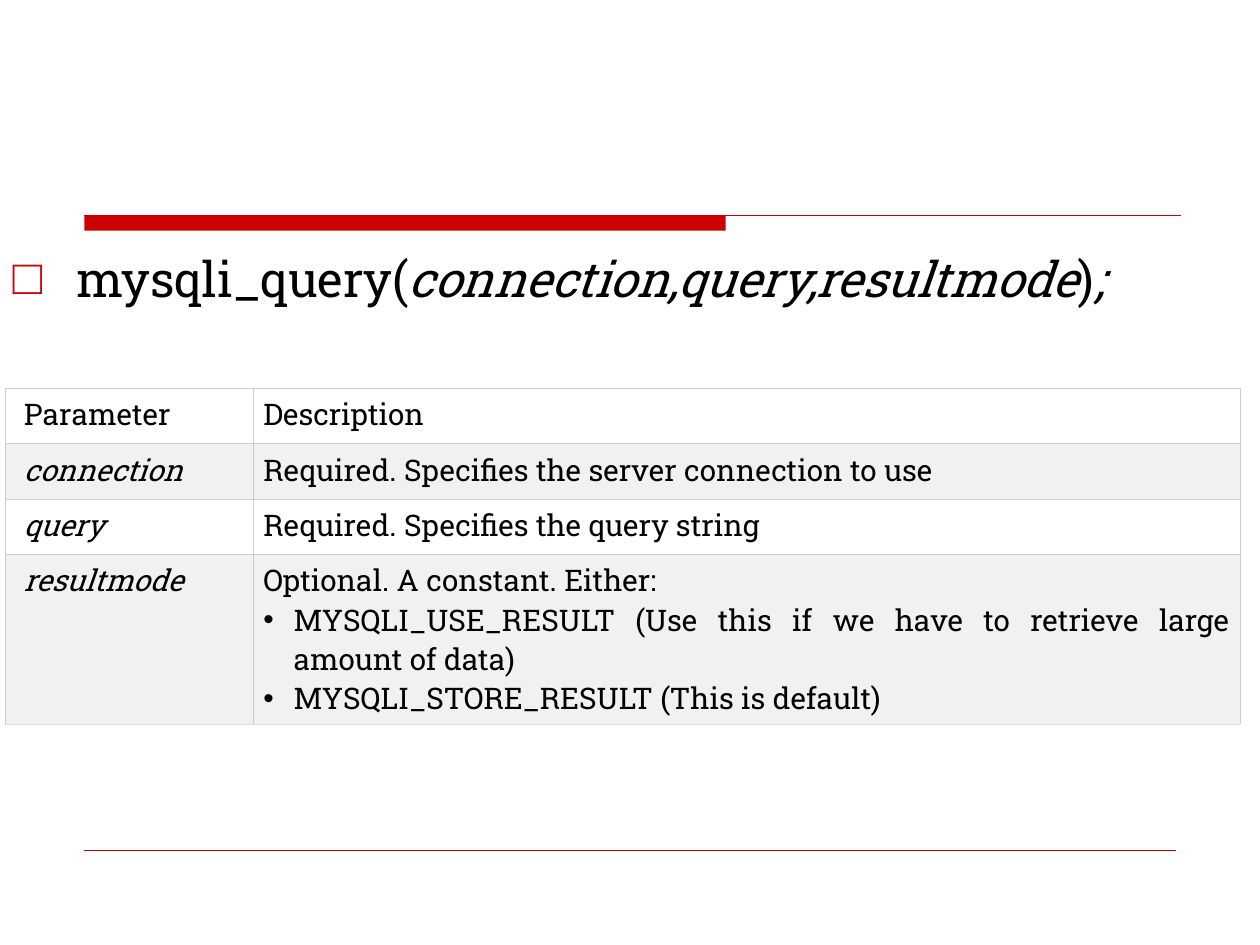
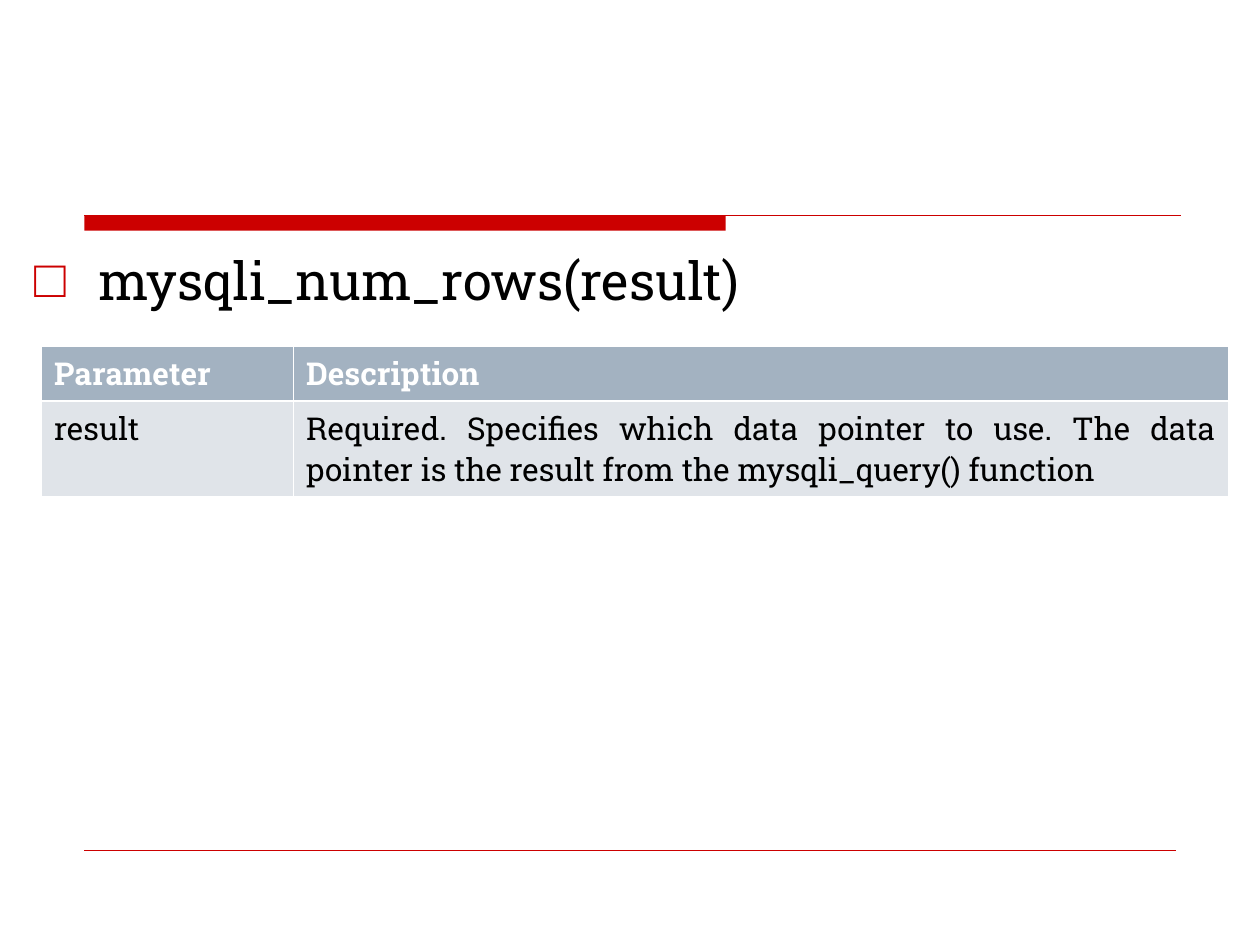
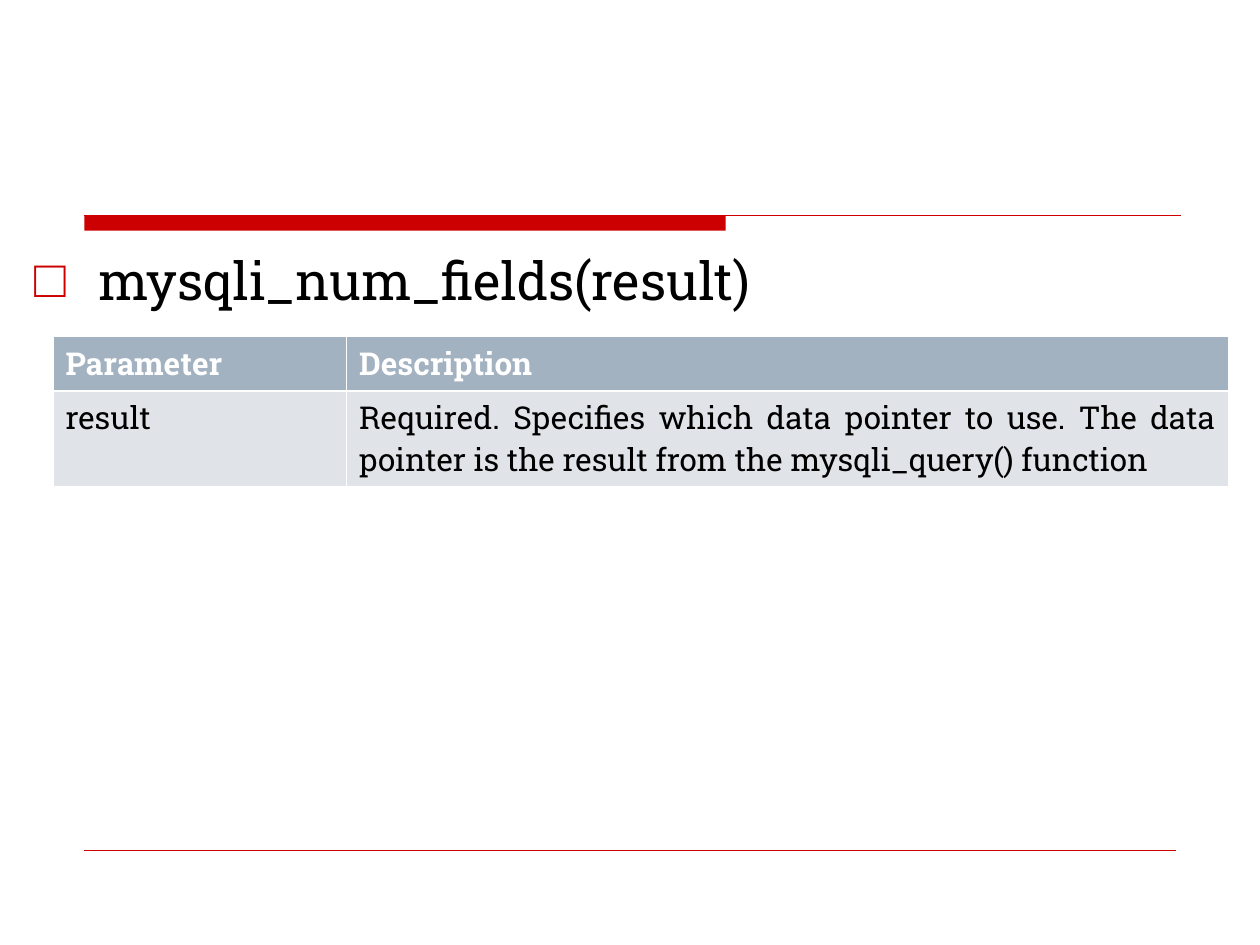
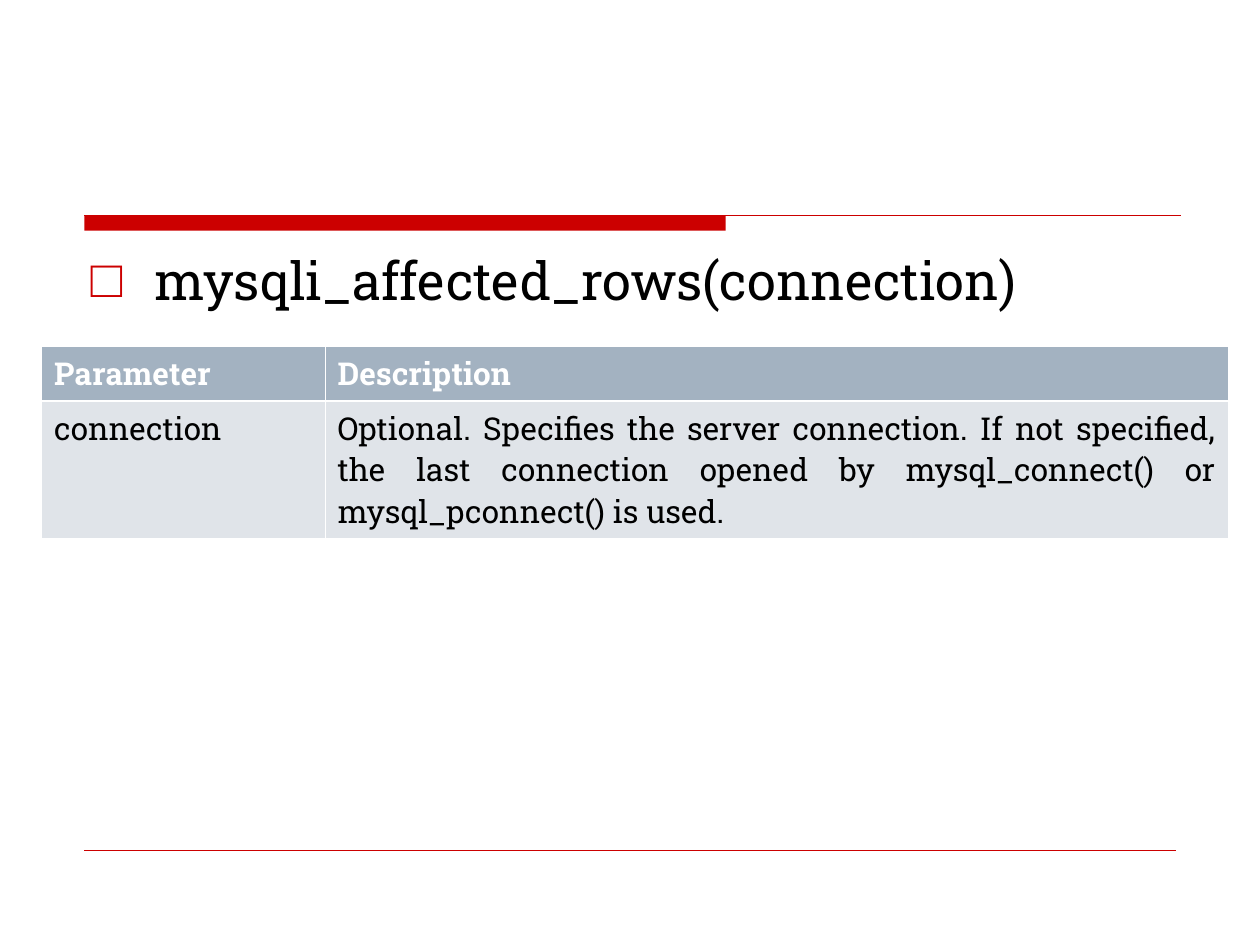
"""Build four reference slides on mysqli functions and their parameters."""
import pptx
import pptx.dml.color
import pptx.enum.shapes
import pptx.enum.text
import pptx.oxml.ns
import pptx.util
from lxml import etree
from pptx.util import Inches

RED = pptx.dml.color.RGBColor(0xCC, 0x00, 0x00)
BLACK = pptx.dml.color.RGBColor(0x00, 0x00, 0x00)
WHITE = pptx.dml.color.RGBColor(0xFF, 0xFF, 0xFF)
PALE_GREY = pptx.dml.color.RGBColor(0xF1, 0xF1, 0xF1)
GRID_GREY = pptx.dml.color.RGBColor(0xCC, 0xCC, 0xCC)
EDGE_GREY = pptx.dml.color.RGBColor(0xDD, 0xDD, 0xDD)
HEADER_BLUE = pptx.dml.color.RGBColor(0xA3, 0xB2, 0xC1)
ROW_BLUE = pptx.dml.color.RGBColor(0xE0, 0xE4, 0xE9)

FONT = "Roboto Slab"
HEADINGS = ("Parameter", "Description")
RESULT_TEXT = ("Required. Specifies which data pointer to use. The data pointer "
               "is the result from the mysqli_query() function")


def add_xml(parent, tag, **attributes):
    return etree.SubElement(parent, pptx.oxml.ns.qn(tag), attributes)


class ReferenceDeck:
    """Hold the shared style and the current slide."""

    def __init__(self):
        self.deck = pptx.Presentation()
        self.deck.slide_width = Inches(10)
        self.deck.slide_height = Inches(7.5)
        self.layout = self.deck.slide_layouts[1]
        for placeholder in list(self.layout.placeholders):
            if placeholder.placeholder_format.idx >= 10:
                placeholder.element.getparent().remove(placeholder.element)
        self.slide = None

    def add_slide(self):
        self.slide = self.deck.slides.add_slide(self.layout)
        title = self.slide.shapes.title.element
        title.getparent().remove(title)

    def add_frame(self):
        """Draw the band and rules, then move them to the shared layout."""
        band = self.slide.shapes.add_shape(
            pptx.enum.shapes.MSO_SHAPE.RECTANGLE,
            Inches(0.67), Inches(1.71), Inches(5.09), Inches(0.12))
        band.shadow.inherit = False
        band.fill.solid()
        band.fill.fore_color.rgb = RED
        band.line.fill.background()
        top_rule = self.add_rule(9.37, 1.71, 0.75)
        footer_rule = self.add_rule(9.33, 6.75, 0.25)
        for shape in (band, top_rule, footer_rule):
            self.layout.shapes.element.append(shape.element)

    def add_rule(self, right, top, width):
        rule = self.slide.shapes.add_connector(
            pptx.enum.shapes.MSO_CONNECTOR.STRAIGHT,
            Inches(0.67), Inches(top), Inches(right), Inches(top))
        rule.line.color.rgb = RED
        rule.line.width = pptx.util.Pt(width)
        add_xml(rule.element.spPr, "a:effectLst")
        return rule

    def format_runs(self, para, size, color=BLACK, bold=False):
        for run in para.runs:
            run.font.name = FONT
            run.font.size = pptx.util.Pt(size)
            run.font.color.rgb = color
            run.font.bold = bold

    def add_bullet(self, para, symbol, color, indent):
        properties = para._p.get_or_add_pPr()
        properties.set("marL", str(Inches(indent)))
        properties.set("indent", str(-Inches(indent)))
        bullet_color = add_xml(properties, "a:buClr")
        add_xml(bullet_color, "a:srgbClr", val=str(color))
        add_xml(properties, "a:buFont", typeface="Arial")
        add_xml(properties, "a:buChar", char=symbol)

    def add_signature(self, pieces, left, width, size=30):
        """Write a function signature; every second piece is italic."""
        box = self.slide.placeholders[1]
        box.left, box.top = Inches(left), Inches(1.92)
        box.width, box.height = Inches(width), Inches(4.67)
        box.text_frame.auto_size = pptx.enum.text.MSO_AUTO_SIZE.NONE
        para = box.text_frame.paragraphs[0]
        for index, piece in enumerate(pieces):
            run = para.add_run()
            run.text = piece
            run.font.italic = index % 2 == 1
        para.space_before = pptx.util.Pt(size / 4)
        self.format_runs(para, size)
        self.add_bullet(para, "□", RED, 0.51)

    def add_table(self, rows, left, top, widths, heights):
        table = self.slide.shapes.add_table(
            len(rows), len(widths), Inches(left), Inches(top),
            Inches(sum(widths)), Inches(sum(heights))).table
        for column, width in zip(table.columns, widths):
            column.width = Inches(width)
        for row, height, texts in zip(table.rows, heights, rows):
            row.height = Inches(height)
            for cell, text in zip(row.cells, texts):
                cell.text_frame.text = text
                for para in cell.text_frame.paragraphs:
                    para.alignment = pptx.enum.text.PP_ALIGN.JUSTIFY
        return table

    def style_cell(self, cell, fill, borders):
        """Set the borders (left, right, top, bottom), then the fill."""
        properties = cell._tc.get_or_add_tcPr()
        for side, (color, width) in zip("LRTB", borders):
            line = add_xml(properties, "a:ln" + side, w=str(pptx.util.Pt(width)))
            solid = add_xml(line, "a:solidFill")
            add_xml(solid, "a:srgbClr", val=str(color))
        cell.fill.solid()
        cell.fill.fore_color.rgb = fill

    def add_grid_table(self, rows, left, top, widths, heights):
        table = self.add_table(rows, left, top, widths, heights)
        grid = (GRID_GREY, 0.34)
        for row_index, row in enumerate(table.rows):
            last = row_index == len(rows) - 1
            bottom = (EDGE_GREY, 0.34) if last else grid
            for column_index, cell in enumerate(row.cells):
                cell.margin_left = Inches(0.08 if column_index else 0.15)
                cell.margin_right = Inches(0.08)
                fill = PALE_GREY if row_index % 2 else WHITE
                self.style_cell(cell, fill, (grid, grid, grid, bottom))
                for para_index, para in enumerate(cell.text_frame.paragraphs):
                    self.format_runs(para, 17)
                    for run in para.runs:
                        run.font.italic = row_index > 0 and column_index == 0
                    if para_index:
                        self.add_bullet(para, "•", BLACK, 0.24)

    def add_header_table(self, row, left, top, widths, row_height):
        table = self.add_table((HEADINGS, row), left, top, widths, (0.41, row_height))
        thin, thick = (WHITE, 0.45), (WHITE, 1.47)
        styles = ((HEADER_BLUE, WHITE, True, (thin, thin, thin, thick)),
                  (ROW_BLUE, BLACK, False, (thin, thin, thick, thin)))
        for table_row, (fill, color, bold, borders) in zip(table.rows, styles):
            for cell in table_row.cells:
                self.style_cell(cell, fill, borders)
                self.format_runs(cell.text_frame.paragraphs[0], 18, color, bold)


def main():
    reference = ReferenceDeck()

    reference.add_slide()
    reference.add_frame()
    reference.add_signature(
        ("mysqli_query(", "connection,query,resultmode", ")", ";"), 0, 10, 28)
    reference.add_grid_table(
        (HEADINGS,
         ("connection", "Required. Specifies the server connection to use"),
         ("query", "Required. Specifies the query string"),
         ("resultmode",
          "Optional. A constant. Either:\n"
          "MYSQLI_USE_RESULT (Use this if we have to retrieve large amount of data)\n"
          "MYSQLI_STORE_RESULT (This is default)")),
        0.04, 3.08, (1.97, 7.83), (0.44, 0.44, 0.44, 1.29))

    reference.add_slide()
    reference.add_signature(("mysqli_num_rows(result)",), 0.17, 9.67)
    reference.add_header_table(("result", RESULT_TEXT), 0.33, 2.75, (2, 7.42), 0.7)

    reference.add_slide()
    reference.add_signature(("mysqli_num_fields(result)",), 0.17, 9.58)
    reference.add_header_table(("result", RESULT_TEXT), 0.42, 2.67, (2.33, 7), 0.7)

    reference.add_slide()
    reference.add_signature(("mysqli_affected_rows(connection)",), 0.62, 8.75)
    reference.add_header_table(
        ("connection",
         "Optional. Specifies the server connection. If not specified, the last "
         "connection opened by mysql_connect() or mysql_pconnect() is used."),
        0.33, 2.75, (2.25, 7.17), 1)

    reference.deck.save("out.pptx")


if __name__ == "__main__":
    main()
